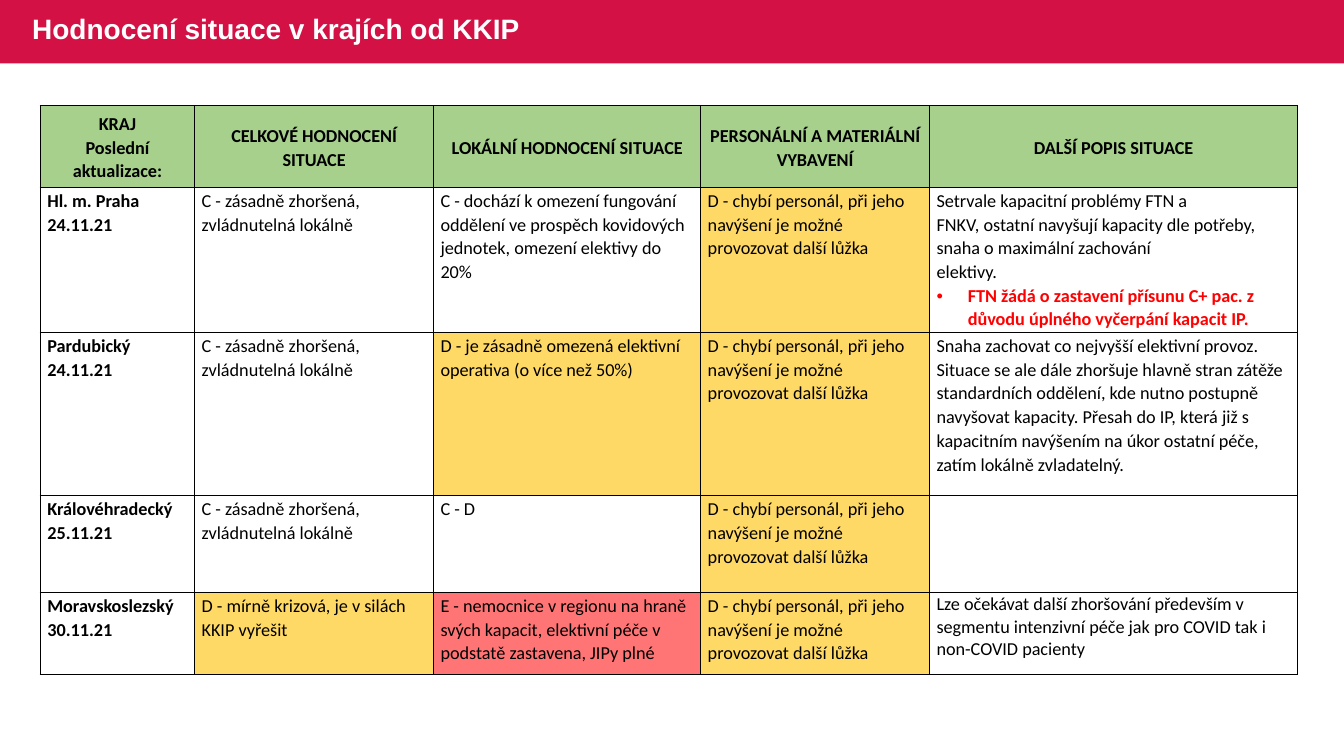
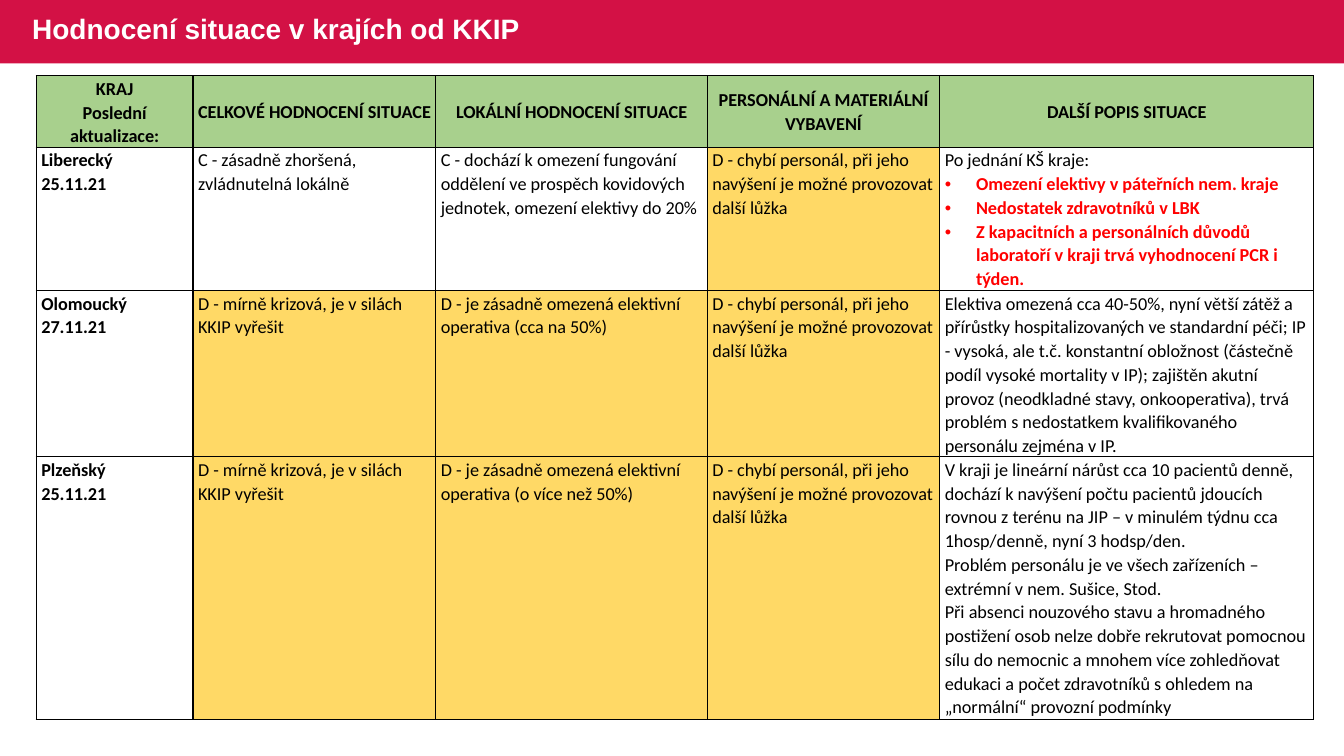
from lxml.etree import SubElement
from pptx import Presentation
from pptx.dml.color import RGBColor
from pptx.enum.shapes import MSO_SHAPE
from pptx.enum.text import MSO_ANCHOR, PP_ALIGN
from pptx.oxml.ns import qn
from pptx.util import Inches, Pt

WIDE, HIGH = 13.33, 7.5
BAND = 0.63
RED, GREEN, ALERT = "D31145", "A8D08D", "FF0000"
BLACK, WHITE = "000000", "FFFFFF"
RATES = {"D -": "FFD966", "E -": "FF7575"}
COLS = [1.53, 2.37, 2.65, 2.27, 3.65]
TITLE = "Hodnocení situace v krajích od KKIP"
HEAD = ["KRAJ|Poslední aktualizace:", "CELKOVÉ HODNOCENÍ SITUACE",
        "LOKÁLNÍ HODNOCENÍ SITUACE", "PERSONÁLNÍ A MATERIÁLNÍ VYBAVENÍ",
        "DALŠÍ POPIS SITUACE"]

WORSE = "C - zásadně zhoršená, zvládnutelná lokálně"
CRISIS = "D - mírně krizová, je v silách KKIP vyřešit"
LIMIT = ("C - dochází k omezení fungování oddělení ve prospěch kovidových "
         "jednotek, omezení elektivy do 20%")
HALF = "D - je zásadně omezená elektivní operativa (o více než 50%)"
STAFF = "D - chybí personál, při jeho navýšení je možné provozovat další lůžka"

# In a cell, "|" parts paragraphs and a leading "•" marks an alert.
PAGES = [
    dict(box=(0.4, 1.05, 12.47), pad=0.07, rows=[0.81, 1.44, 1.62, 0.96, 0.81], data=[
        ["Hl. m. Praha|24.11.21", WORSE, LIMIT, STAFF,
         "Setrvale kapacitní problémy FTN a\nFNKV, ostatní navyšují kapacity dle "
         "potřeby, snaha o maximální zachování\nelektivy.|"
         "•FTN žádá o zastavení přísunu C+ pac. z důvodu úplného vyčerpání kapacit IP."],
        ["Pardubický|24.11.21", WORSE, HALF, STAFF,
         "Snaha zachovat co nejvyšší elektivní provoz. Situace se ale dále zhoršuje "
         "hlavně stran zátěže standardních oddělení, kde nutno postupně navyšovat "
         "kapacity. Přesah do IP, která již s kapacitním navýšením na úkor ostatní "
         "péče, zatím lokálně zvladatelný."],
        ["Královéhradecký|25.11.21", WORSE, "C - D", STAFF, ""],
        ["Moravskoslezský|30.11.21", CRISIS,
         "E - nemocnice v regionu na hraně svých kapacit, elektivní péče v podstatě "
         "zastavena, JIPy plné", STAFF,
         "Lze očekávat další zhoršování především v segmentu intenzivní péče jak pro "
         "COVID tak i non-COVID pacienty"],
    ], tight=(4, 4)),
    dict(box=(0.36, 0.75, 12.67), pad=0.05, rows=[0.71, 1.42, 1.65, 2.61], data=[
        ["Liberecký|25.11.21", WORSE, LIMIT, STAFF,
         "Po jednání KŠ kraje:|•Omezení elektivy v páteřních nem. kraje|"
         "•Nedostatek zdravotníků v LBK|"
         "•Z kapacitních a personálních důvodů laboratoří v kraji trvá vyhodnocení "
         "PCR i týden."],
        ["Olomoucký|27.11.21", CRISIS,
         "D - je zásadně omezená elektivní operativa (cca na 50%)", STAFF,
         "Elektiva omezená cca 40-50%, nyní větší zátěž a přírůstky hospitalizovaných "
         "ve standardní péči; IP - vysoká, ale t.č. konstantní obložnost (částečně "
         "podíl vysoké mortality v IP); zajištěn akutní provoz (neodkladné stavy, "
         "onkooperativa), trvá problém s nedostatkem kvalifikovaného personálu "
         "zejména v IP."],
        ["Plzeňský|25.11.21", CRISIS, HALF, STAFF,
         "V kraji je lineární nárůst cca 10 pacientů denně, dochází k navýšení počtu "
         "pacientů jdoucích rovnou z terénu na JIP – v minulém týdnu cca 1hosp/denně, "
         "nyní 3 hodsp/den.|"
         "Problém personálu je ve všech zařízeních – extrémní v nem. Sušice, Stod.|"
         "Při absenci nouzového stavu a hromadného postižení osob nelze dobře "
         "rekrutovat pomocnou sílu do nemocnic a mnohem více zohledňovat edukaci a "
         "počet zdravotníků s ohledem na „normální“ provozní podmínky"],
    ], tight=None),
]


def paint(fill, tone):
    fill.solid()
    fill.fore_color.rgb = RGBColor.from_string(tone)


def assign(item, **values):
    for name, value in values.items():
        setattr(item, name, value)


def style(para, face, size, tone, bold):
    for run in para.runs:
        assign(run.font, name=face, size=Pt(size), bold=bold)
        run.font.color.rgb = RGBColor.from_string(tone)
    for gap in para._p.findall(qn("a:br")):
        SubElement(gap, qn("a:rPr"), sz=str(size * 100))


def banner(slide):
    bar = slide.shapes.add_shape(MSO_SHAPE.RECTANGLE, 0, 0, Inches(WIDE), Inches(BAND))
    bar.shadow.inherit = False
    paint(bar.fill, RED)
    bar.line.fill.background()
    box = slide.shapes.add_textbox(Inches(0.22), Inches(-0.01), Inches(8.14), Inches(BAND))
    frame = box.text_frame
    assign(frame, word_wrap=True, vertical_anchor=MSO_ANCHOR.MIDDLE)
    para = frame.paragraphs[0]
    assign(para, text=TITLE, line_spacing=0.9)
    style(para, "Arial", 20, WHITE, True)


def bullet(para):
    props = para._p.get_or_add_pPr()
    step = Inches(0.31)
    props.set("marL", str(step))
    props.set("indent", str(-step))
    SubElement(props, qn("a:buFont"), typeface="Arial")
    SubElement(props, qn("a:buChar"), char="•")


def border(cell):
    props = cell._tc.get_or_add_tcPr()
    for side in "LRTB":
        line = SubElement(props, qn("a:ln" + side), w=str(Pt(1)))
        solid = SubElement(line, qn("a:solidFill"))
        SubElement(solid, qn("a:srgbClr"), val=BLACK)


def write(cell, text, head, bold, space):
    frame = cell.text_frame
    for i, part in enumerate(text.split("|")):
        para = frame.add_paragraph() if i else frame.paragraphs[0]
        alert = part.startswith("•")
        assign(para, text=part.lstrip("•"), line_spacing=space,
               alignment=PP_ALIGN.CENTER if head else PP_ALIGN.LEFT)
        if alert:
            bullet(para)
        style(para, "Calibri", 13, ALERT if alert else BLACK, bold or alert)


def grid(slide, box, pad, rows, data, tight):
    """Draw the region table; tight is the cell set in single spacing."""
    left, top, width = box
    table = slide.shapes.add_table(
        len(rows), len(COLS), Inches(left), Inches(top),
        Inches(width), Inches(sum(rows))).table
    assign(table, first_row=False, horz_banding=False)
    for col, share in zip(table.columns, COLS):
        col.width = Inches(width * share / sum(COLS))
    for r, (high, texts) in enumerate(zip(rows, [HEAD] + data)):
        table.rows[r].height = Inches(high)
        head = r == 0
        for c, text in enumerate(texts):
            cell = table.cell(r, c)
            assign(cell, margin_left=Inches(pad), margin_right=Inches(pad),
                   margin_top=Inches(0.01), margin_bottom=0,
                   vertical_anchor=MSO_ANCHOR.MIDDLE if head else MSO_ANCHOR.TOP)
            border(cell)
            paint(cell.fill, GREEN if head else RATES.get(text[:3], WHITE))
            write(cell, text, head, head or c == 0, 1.0 if (r, c) == tight else 1.07)


def main():
    deck = Presentation()
    assign(deck, slide_width=Inches(WIDE), slide_height=Inches(HIGH))
    for page in PAGES:
        slide = deck.slides.add_slide(deck.slide_layouts[6])
        banner(slide)
        grid(slide, **page)
    deck.save("out.pptx")


if __name__ == "__main__":
    main()
